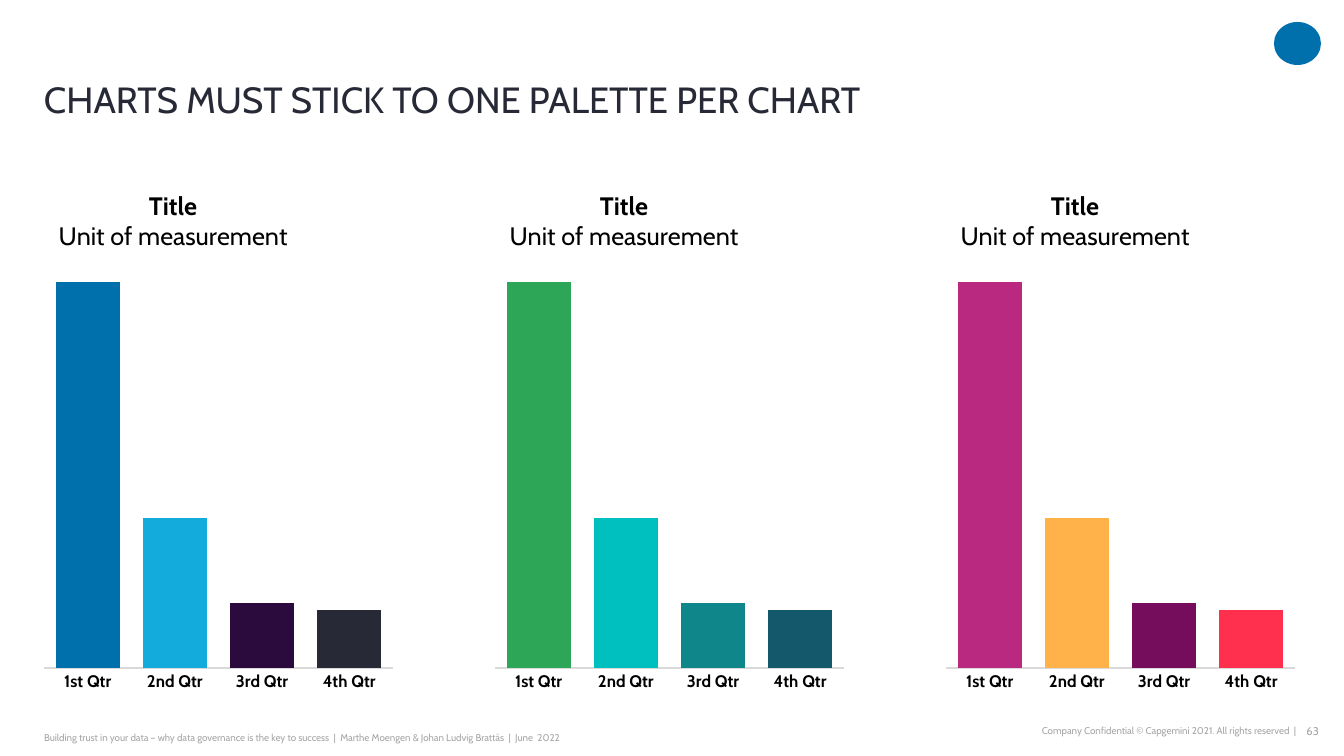
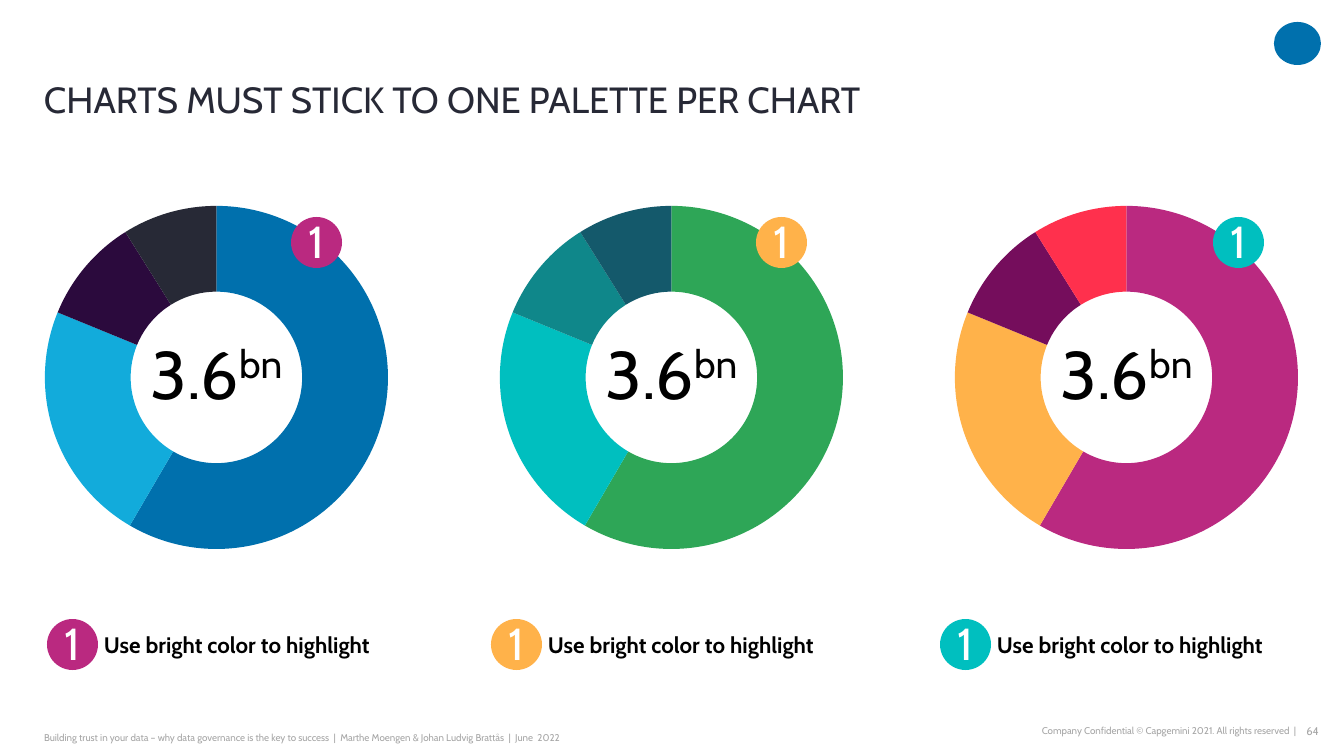
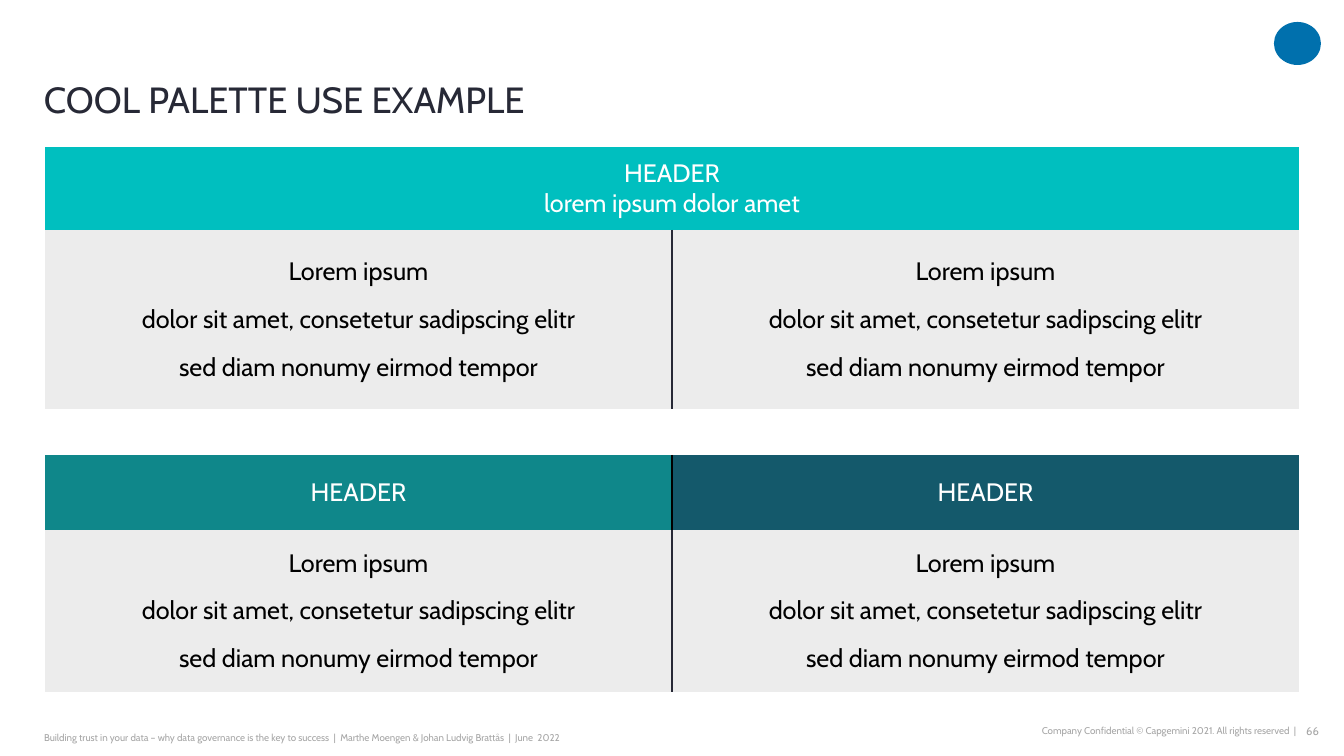
import pptx
import pptx.chart.data
import pptx.dml.color
import pptx.enum.chart
import pptx.enum.shapes
import pptx.enum.text
import pptx.oxml
import pptx.oxml.ns
import pptx.util

PX = 914400 / 100.8
FONT = "Cabin"
COLORS = {
    "blue": "0070AD", "sky": "12ABDB", "violet": "2B0A3D", "ink": "272936",
    "green": "2EA657", "teal": "00BFBF", "sea": "0F878A", "petrol": "14596B",
    "magenta": "BA2980", "amber": "FFB24A", "plum": "750D5C", "red": "FF304D",
    "white": "FFFFFF", "black": "000000", "gray": "A6A6A6",
    "panel": "ECECEC", "axis": "D9D9D9",
}
PALETTES = [
    ["blue", "sky", "violet", "ink"],
    ["green", "teal", "sea", "petrol"],
    ["magenta", "amber", "plum", "red"],
]
# Highlight colour, left of the badge on the ring, left of the legend
HIGHLIGHTS = [("magenta", 291, 47), ("amber", 756, 491), ("teal", 1213, 940)]
BADGE_SIZE = 51
BODY_LINES = ["Lorem ipsum", "dolor sit amet, consetetur sadipscing elitr",
              "sed diam nonumy eirmod tempor"]
PALETTE_TITLE = "CHARTS MUST STICK TO ONE PALETTE PER CHART"

ALIGN = pptx.enum.text.PP_ALIGN
ANCHOR = pptx.enum.text.MSO_ANCHOR
CHART = pptx.enum.chart.XL_CHART_TYPE
qn = pptx.oxml.ns.qn


def emu(*lengths):
    return [pptx.util.Emu(round(length * PX)) for length in lengths]


def rgb(name):
    return pptx.dml.color.RGBColor.from_string(COLORS[name])


def paint(target, color):
    target.fill.solid()
    target.fill.fore_color.rgb = rgb(color)


def style_font(font, size, color="black", bold=False):
    font.name = FONT
    font.size = pptx.util.Pt(size)
    font.bold = bold
    font.color.rgb = rgb(color)


def add_span(para, text, size, color="black", bold=False):
    span = para.add_run()
    span.text = text
    style_font(span.font, size, color, bold)
    return span


def set_margins(target, margins):
    (target.margin_left, target.margin_top,
     target.margin_right, target.margin_bottom) = emu(*margins)


def add_label(slide, box, text, size, color="black", bold=False, align=ALIGN.LEFT,
              anchor=ANCHOR.MIDDLE, margins=(0, 0, 0, 0), wrap=True):
    """Add a one-paragraph text box and return its paragraph."""
    frame = slide.shapes.add_textbox(*emu(*box)).text_frame
    frame.word_wrap = wrap
    frame.vertical_anchor = anchor
    set_margins(frame, margins)
    para = frame.paragraphs[0]
    para.alignment = align
    add_span(para, text, size, color, bold)
    return para


def add_ellipse(slide, box, color):
    shape = slide.shapes.add_shape(pptx.enum.shapes.MSO_SHAPE.OVAL, *emu(*box))
    shape.shadow.inherit = False
    paint(shape, color)
    shape.line.fill.background()
    return shape


def add_page(deck, title, number):
    """Add a blank slide with the shared mark, footer and title."""
    slide = deck.slides.add_slide(deck.slide_layouts[6])
    add_ellipse(slide, (1274, 22, 47, 43), "blue")
    add_label(slide, (44, 719, 612, 37),
              "Building trust in your data – why data governance is the key to success"
              "  |  Marthe Moengen & Johan Ludvig Brattås  |  June  2022", 7, "gray")
    add_label(slide, (1294, 719, 25, 24), str(number), 8, "gray", align=ALIGN.RIGHT,
              anchor=ANCHOR.TOP, margins=(0, 5, 0, 5), wrap=False)
    add_label(slide, (796, 719, 500, 24),
              "Company Confidential © Capgemini 2021. All rights reserved  |",
              7, "gray", align=ALIGN.RIGHT)
    heading = add_label(slide, (44, 42, 1207, 79), title, 26, "ink", anchor=ANCHOR.BOTTOM)
    heading.line_spacing = 0.9
    return slide


def set_layout(parent, position, **values):
    """Give a chart part a manual layout, in shares of the chart."""
    layout = parent.find(qn("c:layout"))
    if layout is None:
        layout = pptx.oxml.parse_xml(f"<c:layout {pptx.oxml.ns.nsdecls('c')}/>")
        parent.insert(position, layout)
    for child in list(layout):
        layout.remove(child)
    manual = layout.makeelement(qn("c:manualLayout"), {})
    layout.append(manual)
    settings = {"xMode": "edge", "yMode": "edge", **values}
    if "w" in values:
        settings = {"layoutTarget": "inner", **settings}
    for tag, value in settings.items():
        manual.append(manual.makeelement(qn(f"c:{tag}"), {"val": str(value)}))


def add_palette_chart(slide, box, kind, categories, values, palette):
    """Add a one-series chart whose points take the palette in turn."""
    data = pptx.chart.data.CategoryChartData()
    data.categories = categories
    data.add_series("Series 1", values)
    chart = slide.shapes.add_chart(kind, *emu(*box), data).chart
    chart.has_legend = False
    chart.has_title = False
    style_font(chart.font, 10)
    series = chart.plots[0].series[0]
    for index, color in enumerate(palette):
        point = series.points[index].format
        paint(point, color)
        point.line.fill.background()
    return chart


def plot_area(chart):
    return chart.plots[0]._element.getparent()


def add_columns(slide, box, palette):
    chart = add_palette_chart(slide, box, CHART.COLUMN_STACKED,
                              ["1st Qtr", "2nd Qtr", "3rd Qtr", "4th Qtr"],
                              (100, 39, 17, 15), palette)
    plot = chart.plots[0]
    plot.vary_by_categories = False
    plot.gap_width = 37
    plot.overlap = 100
    set_layout(plot_area(chart), 0, x=0.04, y=0.12, w=0.92, h=0.81)

    value_axis = chart.value_axis
    value_axis.minimum_scale = 0
    value_axis.maximum_scale = 110
    value_axis.has_major_gridlines = False
    value_axis.visible = False
    category_axis = chart.category_axis
    category_axis.major_tick_mark = pptx.enum.chart.XL_TICK_MARK.NONE
    category_axis.format.line.color.rgb = rgb("axis")
    category_axis.format.line.width = pptx.util.Pt(1)
    style_font(category_axis.tick_labels.font, 12, bold=True)

    chart.has_title = True
    frame = chart.chart_title.text_frame
    add_span(frame.paragraphs[0], "Title", 18, bold=True)
    add_span(frame.add_paragraph(), "Unit of measurement", 18)
    chart.chart_title.include_in_layout = False
    set_layout(chart.chart_title._element, 1, x=0.07, y=0.01)


def add_ring(slide, box, palette):
    """Add a doughnut chart with its total in the hole."""
    chart = add_palette_chart(slide, box, CHART.DOUGHNUT, ["1", "2", "3", "4"],
                              (59, 23, 10, 9), palette)
    chart.plots[0].vary_by_categories = True
    set_layout(plot_area(chart), 0, x=0.04, y=0.06, w=0.92, h=0.88)
    plot_area(chart).find(".//" + qn("c:holeSize")).set("val", "61")
    left, top, width, _ = box
    total = add_label(slide, (left + 102, top + 146, width - 204, 92), "3.6", 48,
                      align=ALIGN.CENTER, anchor=ANCHOR.TOP, margins=(10, 5, 10, 5))
    unit = add_span(total, "bn", 48)
    unit._r.get_or_add_rPr().set("baseline", "30000")


def add_badge(slide, left, top, color):
    frame = add_ellipse(slide, (left, top, BADGE_SIZE, BADGE_SIZE), color).text_frame
    frame.vertical_anchor = ANCHOR.MIDDLE
    set_margins(frame, (10, 5, 10, 8))
    para = frame.paragraphs[0]
    para.alignment = ALIGN.CENTER
    add_span(para, "1", 32, "white")


def add_legend(slide, left, top, color):
    add_badge(slide, left, top, color)
    add_label(slide, (left + 57, top + 12, 304, 27), "Use bright color to highlight",
              16, bold=True, wrap=False)


def add_grid(slide, box, columns, header_height):
    """Add a table of one header row and one body row, without a style."""
    left, top, width, height = box
    table = slide.shapes.add_table(2, columns, *emu(*box)).table
    table.first_row = False
    table.horz_banding = False
    style = table._tbl.tblPr.find(qn("a:tableStyleId"))
    style.text = "{2D5ABB26-0587-4C30-8999-92F81FD0307C}"
    for row, row_height in zip(table.rows, (header_height, height - header_height)):
        row.height = emu(row_height)[0]
    for column in table.columns:
        column.width = emu(width / columns)[0]
    return table


def fill_header(cell, color, lines):
    paint(cell, color)
    cell.vertical_anchor = ANCHOR.MIDDLE
    para = cell.text_frame.paragraphs[0]
    para.alignment = ALIGN.CENTER
    for index, line in enumerate(lines):
        if index:
            para.add_line_break()
        add_span(para, line, 18, "white")


def fill_body(cell):
    paint(cell, "panel")
    cell.vertical_anchor = ANCHOR.MIDDLE
    frame = cell.text_frame
    for index, line in enumerate(BODY_LINES):
        para = frame.add_paragraph() if index else frame.paragraphs[0]
        para.alignment = ALIGN.CENTER
        para.space_after = pptx.util.Pt(12)
        add_span(para, line, 18)


def add_border(cell, side, color):
    cell._tc.get_or_add_tcPr().insert(0, pptx.oxml.parse_xml(
        f'<a:ln{side} {pptx.oxml.ns.nsdecls("a")} w="12700"><a:solidFill>'
        f'<a:srgbClr val="{COLORS[color]}"/></a:solidFill></a:ln{side}>'))


def build_column_slide(deck):
    slide = add_page(deck, PALETTE_TITLE, 63)
    for index, palette in enumerate(PALETTES):
        add_columns(slide, (29 + 451 * index, 181, 379, 524), palette)


def build_ring_slide(deck):
    slide = add_page(deck, PALETTE_TITLE, 64)
    for index, palette in enumerate(PALETTES):
        add_ring(slide, (30 + 455 * index, 181, 373, 393), palette)
    for color, badge_left, legend_left in HIGHLIGHTS:
        add_badge(slide, badge_left, 217, color)
        add_legend(slide, legend_left, 619, color)


def build_table_slide(deck):
    slide = add_page(deck, "COOL PALETTE USE EXAMPLE", 66)
    wide = add_grid(slide, (45, 147, 1254, 262), 2, 83)
    wide.cell(0, 0).merge(wide.cell(0, 1))
    fill_header(wide.cell(0, 0), "teal", ["HEADER", "lorem ipsum dolor amet"])
    for column, side in enumerate("RL"):
        fill_body(wide.cell(1, column))
        add_border(wide.cell(1, column), side, "ink")

    for index, color in enumerate(["sea", "petrol"]):
        half = add_grid(slide, (45 + 627 * index, 455, 627, 237), 1, 75)
        fill_header(half.cell(0, 0), color, ["HEADER"])
        fill_body(half.cell(1, 0))
    add_border(half.cell(0, 0), "L", "black")
    add_border(half.cell(1, 0), "L", "ink")


def main():
    deck = pptx.Presentation()
    deck.slide_width, deck.slide_height = emu(1344, 756)
    build_column_slide(deck)
    build_ring_slide(deck)
    build_table_slide(deck)
    deck.save("out.pptx")


if __name__ == "__main__":
    main()
